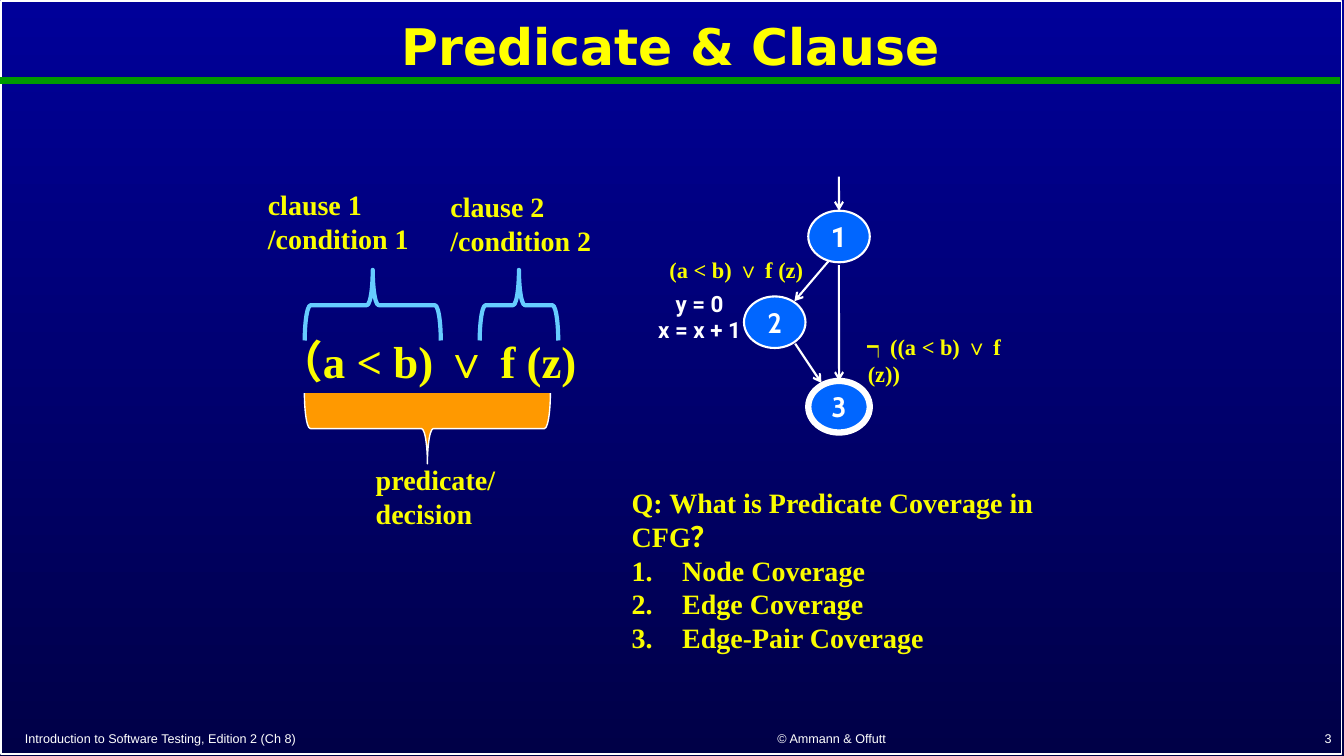
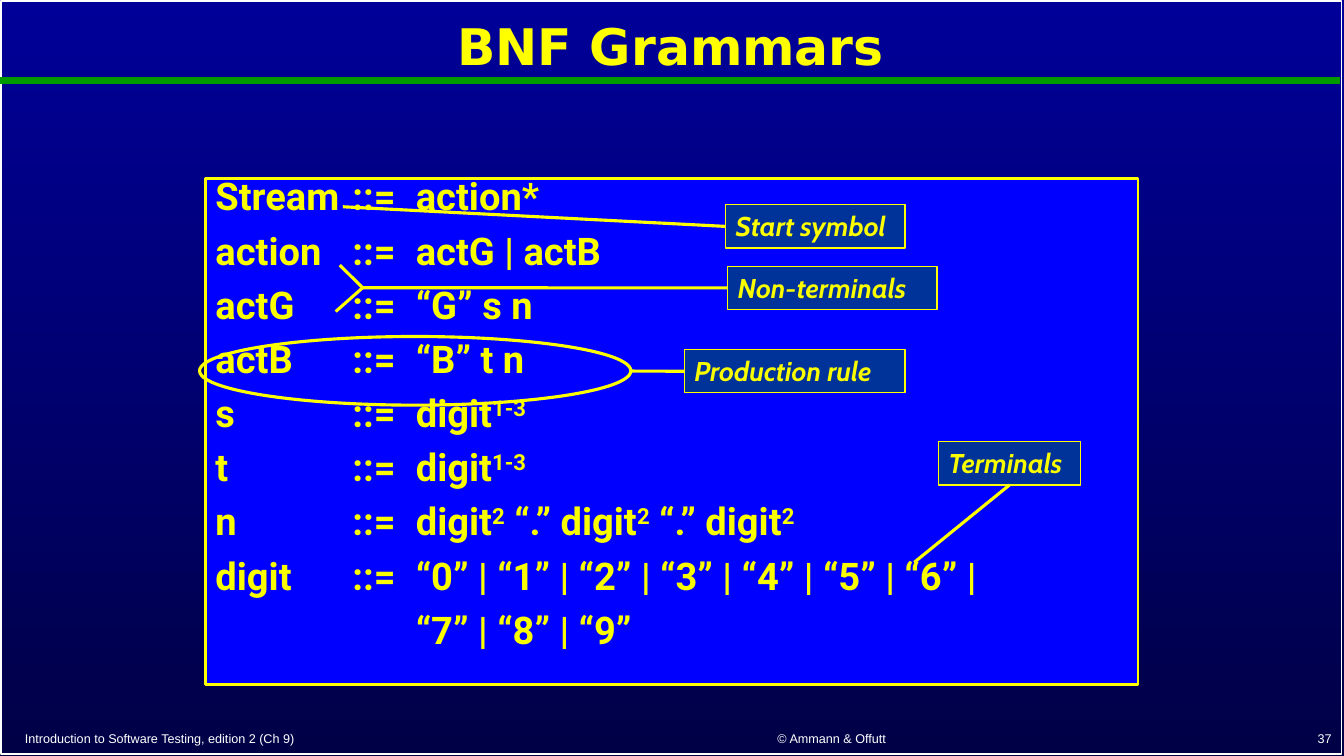
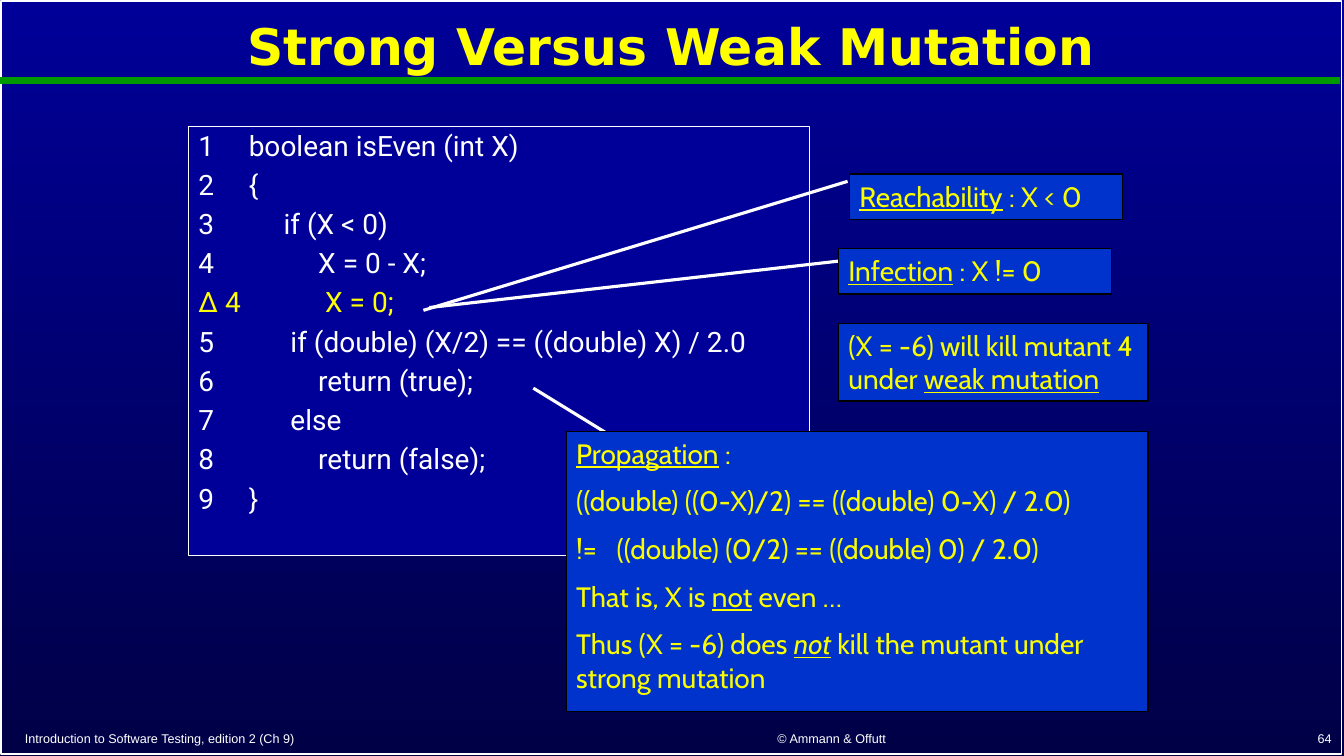
from dataclasses import dataclass
from typing import NamedTuple, Optional

from lxml.etree import SubElement
from pptx import Presentation
from pptx.dml.color import RGBColor
from pptx.enum.shapes import MSO_CONNECTOR as Connector, MSO_SHAPE as Preset
from pptx.enum.text import MSO_ANCHOR as Anchor, PP_ALIGN as Align
from pptx.oxml.ns import qn
from pptx.util import Cm, Pt

WHITE, YELLOW, LEMON = "FFFFFF", "FFFF00", "FAFD00"
NAVY, MIDNIGHT, GREEN = "000099", "000047", "009900"
NODE_BLUE, BRACE_BLUE, ORANGE = "0066FF", "66CCFF", "FF9900"
GRAMMAR_BLUE, CALLOUT_BLUE, NOTE_BLUE, BLACK = "0000FF", "003399", "0033CC", "000000"
TOP, LEFT, BOTTOM = 0, 1, 2


class Frame(NamedTuple):
    """Left, top, width and height in centimetres."""
    left: float
    top: float
    width: float
    height: float


class Point(NamedTuple):
    x: float
    y: float


class Style(NamedTuple):
    font: str
    size: float
    color: str = LEMON
    bold: bool = False
    italic: bool = False


class Layout(NamedTuple):
    align: Align = Align.LEFT
    anchor: Anchor = Anchor.TOP
    line_spacing: Optional[float] = None
    gap: float = 0
    tabs: tuple[float, ...] = ()


class Span(NamedTuple):
    text: str
    color: Optional[str] = None
    font: Optional[str] = None
    underline: bool = False
    italic: bool = False
    raised: bool = False


@dataclass
class Para:
    spans: list[Span]
    numbered: bool = False


@dataclass
class Node:
    label: str
    corner: Point
    font: str = "Cabin"
    outline: float = 1.5


@dataclass
class Callout:
    text: str
    frame: Frame
    start: Point
    side: int = LEFT
    color: str = LEMON


@dataclass
class Note:
    frame: Frame
    paras: list[Para]
    pointer: Optional[tuple[Point, Point]] = None


TITLE = Style("DejaVu Sans", 36, YELLOW, bold=True)
FOOTER = Style("Arial", 9, WHITE)
SERIF = Style("Times New Roman", 20, bold=True)
CENTERED = Layout(Align.CENTER, Anchor.MIDDLE)


def plain(*lines: str) -> list[Para]:
    return [Para([Span(line)]) for line in lines]


def rgb(color: str) -> RGBColor:
    return RGBColor.from_string(color)


def write(box, paras: list[Para], style: Style, layout: Layout = Layout()):
    """Fill the text frame of a shape, run by run."""
    frame = box.text_frame
    frame.word_wrap = True
    frame.vertical_anchor = layout.anchor
    for index, para in enumerate(paras):
        line = frame.add_paragraph() if index else frame.paragraphs[0]
        properties = line._p.get_or_add_pPr()
        if para.numbered:
            properties.set("marL", str(Cm(1.27)))
            properties.set("indent", str(-Cm(1.27)))
            SubElement(properties, qn("a:buAutoNum"), type="arabicPeriod")
        if layout.tabs:
            stops = SubElement(properties, qn("a:tabLst"))
            for tab in layout.tabs:
                SubElement(stops, qn("a:tab"), pos=str(Cm(tab)), algn="l")
        line.alignment = layout.align
        if layout.line_spacing:
            line.line_spacing = layout.line_spacing
        line.space_before = Pt(layout.gap if index else 0)
        for span in para.spans:
            run = line.add_run()
            run.text = span.text
            run.font.name = span.font or style.font
            run.font.size = Pt(style.size)
            run.font.bold = style.bold
            run.font.italic = style.italic or span.italic
            run.font.underline = span.underline
            run.font.color.rgb = rgb(span.color or style.color)
            if span.raised:
                run._r.get_or_add_rPr().set("baseline", "30000")


def add_text(page, frame: Frame, paras: list[Para], style: Style, layout: Layout = Layout()):
    write(page.shapes.add_textbox(*map(Cm, frame)), paras, style, layout)


def add_preset(page, preset: Preset, frame: Frame, fill: Optional[str], line: str, weight: float):
    shape = page.shapes.add_shape(preset, *map(Cm, frame))
    shape.shadow.inherit = False
    if fill:
        shape.fill.solid()
        shape.fill.fore_color.rgb = rgb(fill)
    else:
        shape.fill.background()
    shape.line.color.rgb = rgb(line)
    shape.line.width = Pt(weight)
    return shape


def add_line(page, start: Point, end: Point, color: str, weight: float, arrow: bool = False):
    line = page.shapes.add_connector(Connector.STRAIGHT, *map(Cm, (*start, *end)))
    line.line.color.rgb = rgb(color)
    line.line.width = Pt(weight)
    if arrow:
        SubElement(line.line._get_or_add_ln(), qn("a:tailEnd"), type="arrow")
    SubElement(line._element.spPr, qn("a:effectLst"))
    return line


def add_brace(page, frame: Frame, rotation: int, fill: Optional[str], line: str, weight: float):
    """Lay a right brace on its side so that it covers the frame."""
    left, top, width, height = frame
    shift = (width - height) / 2
    upright = Frame(left + shift, top - shift, height, width)
    add_preset(page, Preset.RIGHT_BRACE, upright, fill, line, weight).rotation = rotation


def add_page(deck, title: str, source: str, number: int):
    """Add a blank slide with the shared background, border, title and footer."""
    page = deck.slides.add_slide(deck.slide_layouts[6])
    fill = page.background.fill
    fill.gradient()
    fill.gradient_angle = 270
    for stop, color in zip(fill.gradient_stops, (NAVY, MIDNIGHT)):
        stop.color.rgb = rgb(color)
    add_preset(page, Preset.RECTANGLE, Frame(0.03, 0.03, 33.78, 18.97), None, WHITE, 1)
    add_line(page, Point(0, 2.03), Point(33.78, 2.03), GREEN, 4.5)
    add_text(page, Frame(0.33, 0.13, 33.15, 2.24), plain(title), TITLE,
             CENTERED._replace(line_spacing=0.9))
    for left, width, text, align in (
        (0.38, 14.45, source, Align.LEFT),
        (15.6, 10.72, "© Ammann & Offutt", Align.CENTER),
        (26.75, 7.06, str(number), Align.RIGHT),
    ):
        add_text(page, Frame(left, 18.27, width, 0.66), plain(text), FOOTER,
                 Layout(align, Anchor.BOTTOM))
    return page


def predicate(opening: str, closing: str) -> list[Span]:
    return [Span(opening + "a "), Span("<", YELLOW), Span(" b) "),
            Span("∨", YELLOW), Span(" f (z" + closing)]


def add_flow_graph(page):
    shapes = []
    for node in (
        Node("1", Point(20.37, 5.31), font="Roboto"),
        Node("2", Point(18.75, 7.47)),
        Node("3", Point(20.37, 9.6), outline=4.5),
    ):
        shape = add_preset(page, Preset.OVAL, Frame(*node.corner, 1.55, 1.3),
                           NODE_BLUE, WHITE, node.outline)
        write(shape, plain(node.label), Style(node.font, 20, WHITE, bold=True), CENTERED)
        shape.text_frame.margin_top = shape.text_frame.margin_bottom = 0
        shapes.append(shape)
    first, _, last = shapes
    for start, end, target in (
        (Point(21.14, 4.45), Point(21.14, 5.31), first),
        (Point(20.88, 6.58), Point(20.02, 7.59), None),
        (Point(20.04, 8.66), Point(20.7, 9.65), None),
        (Point(21.14, 6.68), Point(21.14, 9.6), last),
    ):
        edge = add_line(page, start, end, WHITE, 1.5, arrow=True)
        if target:
            edge.end_connect(target, TOP)
    label = SERIF._replace(size=16)
    add_text(page, Frame(16.32, 6.32, 4.47, 1.96), [Para(predicate("(", ")"))], label,
             Layout(Align.CENTER))
    add_text(page, Frame(16.18, 7.49, 2.9, 1.3), plain("y = 0", "x = x + 1"),
             Style("Roboto", 16, WHITE, bold=True),
             Layout(Align.CENTER, line_spacing=0.5, gap=8.5))
    negation = Span("┑", font="Noto Sans CJK SC")
    add_text(page, Frame(21.62, 8.28, 4.3, 0.94),
             [Para([negation, *predicate("((", "))")])], label)


def add_predicate_page(deck):
    page = add_page(deck, "Predicate & Clause",
                    "Introduction to Software Testing, Edition 2 (Ch 8)", 3)
    add_text(page, Frame(6.76, 8.28, 11.43, 1.63), [Para(predicate("（", ")"))],
             SERIF._replace(size=32))
    add_brace(page, Frame(7.67, 9.91, 6.2, 1.78), 90, ORANGE, WHITE, 1)
    for left, width in ((7.68, 3.43), (12.09, 1.98)):
        add_brace(page, Frame(left, 6.8, width, 1.78), 270, None, BRACE_BLUE, 3)
    for frame, text in (
        (Frame(9.22, 11.53, 3.58, 1.96), "predicate/decision"),
        (Frame(6.5, 4.6, 5.79, 1.96), "clause 1 /condition 1"),
        (Frame(11.1, 4.65, 4.55, 1.96), "clause 2 /condition 2"),
    ):
        add_text(page, frame, plain(text), SERIF)
    add_flow_graph(page)
    answers = ("Node Coverage", "Edge Coverage", "Edge-Pair Coverage")
    add_text(page, Frame(15.67, 12.12, 12.4, 3.68),
             plain("Q: What is Predicate Coverage in CFG？")
             + [Para([Span(answer)], numbered=True) for answer in answers], SERIF)


def add_grammar_page(deck):
    page = add_page(deck, "BNF Grammars",
                    "Introduction to Software Testing, edition 2 (Ch 9)", 37)
    repeat, square = Span("1-3", raised=True), Span("2", raised=True)
    fraction = Span(" “.” digit")
    rules = [
        *plain("Stream\t::=\taction*", "action\t::=\tactG | actB",
               "actG\t::=\t“G” s n", "actB\t::=\t“B” t n"),
        Para([Span("s\t::=\tdigit"), repeat]),
        Para([Span("t\t::=\tdigit"), repeat]),
        Para([Span("n\t::=\tdigit"), square, fraction, square, fraction, square]),
        *plain("digit\t::=\t“0” | “1” | “2” | “3” | “4” | “5” | “6” |",
               "\t\t“7” | “8” | “9”"),
    ]
    grammar = add_preset(page, Preset.RECTANGLE, Frame(5.18, 4.5, 23.5, 12.75),
                         GRAMMAR_BLUE, YELLOW, 1.5)
    write(grammar, rules, Style("Roboto", 27.2, bold=True),
          Layout(line_spacing=0.75, gap=14.2, tabs=(3.45, 5.05)))

    fork = Point(9.14, 7.25)
    for tip in (Point(8.56, 6.68), Point(8.46, 7.85)):
        add_line(page, fork, tip, YELLOW, 2.25)
    add_preset(page, Preset.OVAL, Frame(5.03, 8.48, 10.87, 1.73), None, YELLOW, 2.25)
    for callout in (
        Callout("Non-terminals", Frame(18.34, 6.71, 5.28, 1.09), fork),
        Callout("Terminals", Frame(23.65, 11.13, 3.58, 1.09), Point(23.04, 14.17), BOTTOM),
        Callout("Production rule", Frame(17.25, 8.81, 5.56, 1.09), Point(15.9, 9.35)),
        Callout("Start symbol", Frame(18.29, 5.16, 4.52, 1.09), Point(8.64, 5.21), color=YELLOW),
    ):
        box = add_preset(page, Preset.RECTANGLE, callout.frame, CALLOUT_BLUE, YELLOW, 1)
        write(box, plain(callout.text),
              Style("Cabin", 19.4, callout.color, bold=True, italic=True))
        pointer = add_line(page, callout.start, callout.start, YELLOW, 2.25)
        pointer.end_connect(box, callout.side)


def add_mutation_page(deck):
    page = add_page(deck, "Strong Versus Weak Mutation",
                    "Introduction to Software Testing, edition 2 (Ch 9)", 64)
    code = plain(
        "1\tboolean isEven (int X)",
        "2\t{",
        "3\t     if (X < 0)",
        "4\t          X = 0 - X;",
        "∆ 4\t           X = 0;",
        "5\t      if (double) (X/2) == ((double) X) / 2.0",
        "6\t          return (true);",
        "7\t      else",
        "8\t          return (false);",
        "9\t}",
    )
    mutant = code[4]
    mutant.spans = [span._replace(color=YELLOW) for span in mutant.spans]
    listing = add_preset(page, Preset.RECTANGLE, Frame(4.75, 3.2, 15.65, 10.8),
                         NAVY, WHITE, 0.75)
    write(listing, code, Style("Roboto", 20, WHITE),
          Layout(line_spacing=0.9, gap=6.4, tabs=(1.27,)))

    propagation = [
        Para([Span("Propagation", YELLOW, underline=True), Span(" :", YELLOW)]),
        *plain("((double) ((0-X)/2) == ((double) 0-X) / 2.0)",
               "!=\t((double) (0/2) == ((double) 0) / 2.0)"),
        Para([Span("That is, X is "), Span("not", underline=True), Span(" even …")]),
        Para([Span("Thus (X = -6) does "), Span("not", underline=True, italic=True),
              Span(" kill the mutant under strong mutation")]),
    ]
    for note in (
        Note(Frame(21.41, 4.39, 6.88, 1.14),
             [Para([Span("Reachability", underline=True), Span(" : X < 0")])],
             (Point(21.36, 4.57), Point(10.67, 7.82))),
        Note(Frame(21.13, 6.27, 6.88, 1.14),
             [Para([Span("Infection", underline=True), Span(" : X != 0")])],
             (Point(21.13, 6.58), Point(10.82, 7.75))),
        Note(Frame(21.13, 8.15, 7.8, 1.96),
             [Para([Span("(X = -6) will kill mutant 4 under "),
                    Span("weak mutation", underline=True)])]),
        Note(Frame(14.27, 10.87, 14.66, 7.06), propagation,
             (Point(17.12, 12.04), Point(13.44, 9.78))),
    ):
        if note.pointer:
            add_line(page, *note.pointer, WHITE, 2.25)
        box = add_preset(page, Preset.RECTANGLE, note.frame, NOTE_BLUE, BLACK, 1)
        write(box, note.paras, Style("Cabin", 20), Layout(gap=10, tabs=(1.02,)))


def main():
    deck = Presentation()
    deck.slide_width, deck.slide_height = Cm(33.87), Cm(19.05)
    add_predicate_page(deck)
    add_grammar_page(deck)
    add_mutation_page(deck)
    deck.save("out.pptx")


if __name__ == "__main__":
    main()
